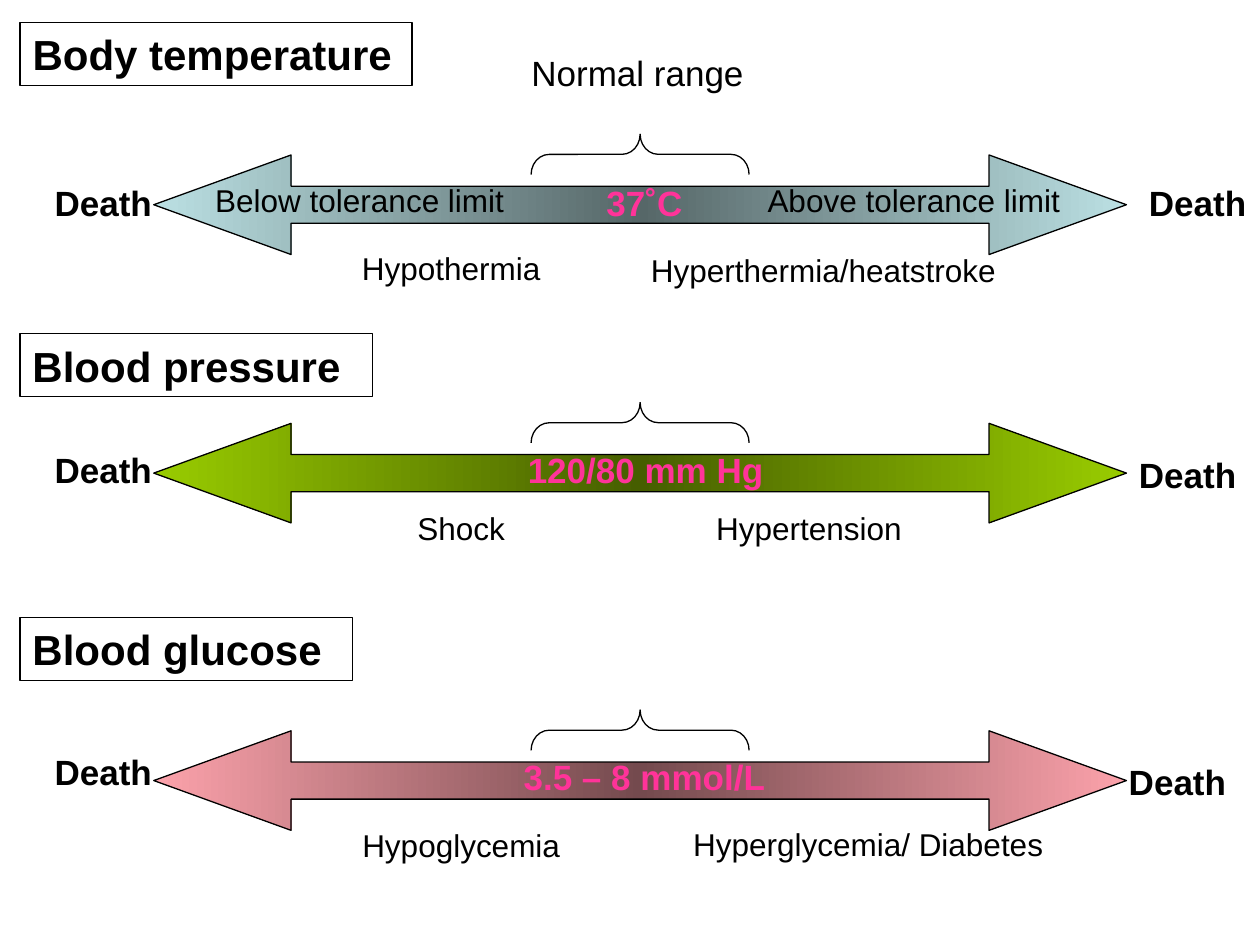
from copy import deepcopy
from dataclasses import dataclass

from pptx import Presentation
from pptx.dml.color import RGBColor
from pptx.enum.shapes import MSO_SHAPE
from pptx.enum.text import MSO_ANCHOR, PP_ALIGN
from pptx.oxml.ns import qn
from pptx.util import Inches, Pt


@dataclass(frozen=True)
class Theme:
    font: str = "Arial"
    black: str = "000000"
    pink: str = "FF3399"
    heading: int = 24
    label: int = 20
    note: int = 18
    line: float = 0.75


@dataclass(frozen=True)
class Label:
    text: str
    left: float
    top: float
    width: float
    align: PP_ALIGN = PP_ALIGN.CENTER


@dataclass(frozen=True)
class Scale:
    heading: Label
    arrow_top: float
    outer: str
    middle: str
    deaths: tuple[Label, Label]
    normal: Label
    notes: tuple[Label, ...]


T = Theme()
LEFT, RIGHT = PP_ALIGN.LEFT, PP_ALIGN.RIGHT

SCALES = (
    Scale(
        Label("Body temperature", 0.16, 0.18, 3.11, LEFT), 1.23, "BBE0E3", "566768",
        (Label("Death", 0.27, 1.39, 1.1), Label("Death", 9.02, 1.39, 0.98, LEFT)),
        Label("37˚C", 4.05, 1.39, 2.13),
        (
            Label("Below tolerance limit", 1.61, 1.39, 2.52, LEFT),
            Label("Above tolerance limit", 5.87, 1.39, 2.64, RIGHT),
            Label("Hypothermia", 2.32, 1.93, 2.52),
            Label("Hyperthermia/heatstroke", 5, 1.94, 3.07),
        ),
    ),
    Scale(
        Label("Blood pressure", 0.16, 2.65, 2.8, LEFT), 3.36, "99CC00", "465E00",
        (Label("Death", 0.27, 3.51, 1.1), Label("Death", 8.94, 3.55, 0.98, LEFT)),
        Label("120/80 mm Hg", 4.06, 3.51, 2.13),
        (
            Label("Shock", 2.4, 3.99, 2.52),
            Label("Hypertension", 5.16, 3.99, 2.52),
        ),
    ),
    Scale(
        Label("Blood glucose", 0.16, 4.9, 2.64, LEFT), 5.8, "FCA2AB", "744A4E",
        (Label("Death", 0.27, 5.91, 1.1), Label("Death", 8.86, 5.99, 0.98, LEFT)),
        Label("3.5 – 8 mmol/L", 4.05, 5.95, 2.13),
        (
            Label("Hypoglycemia", 2.4, 6.51, 2.52),
            Label("Hyperglycemia/ Diabetes", 5, 6.5, 3.78),
        ),
    ),
)


def rgb(color: str) -> RGBColor:
    return RGBColor.from_string(color)


def outline(sp) -> None:
    sp.line.color.rgb = rgb(T.black)
    sp.line.width = Pt(T.line)


def add_preset(s, kind: MSO_SHAPE, box: tuple[float, ...], adjustments: tuple[float, ...]):
    sp = s.shapes.add_shape(kind, *map(Inches, box))
    sp.shadow.inherit = False
    for i, value in enumerate(adjustments):
        sp.adjustments[i] = value
    outline(sp)
    return sp


def add_arrow(s, scale: Scale) -> None:
    sp = add_preset(s, MSO_SHAPE.LEFT_RIGHT_ARROW,
                    (1.22, scale.arrow_top, 7.72, 0.79), (0.373, 1.38))
    sp.fill.gradient()
    sp.fill.gradient_angle = 180
    stops = sp._element.spPr.find(qn("a:gradFill")).find(qn("a:gsLst"))
    stops.insert(1, deepcopy(stops[0]))
    colors = (scale.outer, scale.middle, scale.outer)
    for stop, position, color in zip(sp.fill.gradient_stops, (0, 0.5, 1), colors):
        stop.position = position
        stop.color.rgb = rgb(color)


def add_brace(s, scale: Scale) -> None:
    sp = add_preset(s, MSO_SHAPE.LEFT_BRACE,
                    (4.92, scale.arrow_top - 0.87, 0.32, 1.73), (0.45, 0.5))
    sp.rotation = 90
    sp.fill.background()


def add_label(s, label: Label, size: int, bold: bool = False, color: str = T.black):
    height = 0.1 + size / 60
    sp = s.shapes.add_textbox(*map(Inches, (label.left, label.top, label.width, height)))
    tf = sp.text_frame
    tf.word_wrap = True
    tf.vertical_anchor = MSO_ANCHOR.TOP
    p = tf.paragraphs[0]
    p.text = label.text
    p.alignment = label.align
    p.font.name = T.font
    p.font.size = Pt(size)
    p.font.bold = bold
    p.font.color.rgb = rgb(color)
    return sp


def add_scale(s, scale: Scale) -> None:
    add_arrow(s, scale)
    add_brace(s, scale)
    outline(add_label(s, scale.heading, T.heading, bold=True))
    for death in scale.deaths:
        add_label(s, death, T.label, bold=True)
    add_label(s, scale.normal, T.label, bold=True, color=T.pink)
    for note in scale.notes:
        add_label(s, note, T.note)


def main() -> None:
    prs = Presentation()
    prs.slide_width, prs.slide_height = Inches(10), Inches(7.5)
    s = prs.slides.add_slide(prs.slide_layouts[6])
    for scale in SCALES:
        add_scale(s, scale)
    add_label(s, Label("Normal range", 3.27, 0.36, 3.58), T.label)
    prs.save("out.pptx")


if __name__ == "__main__":
    main()
